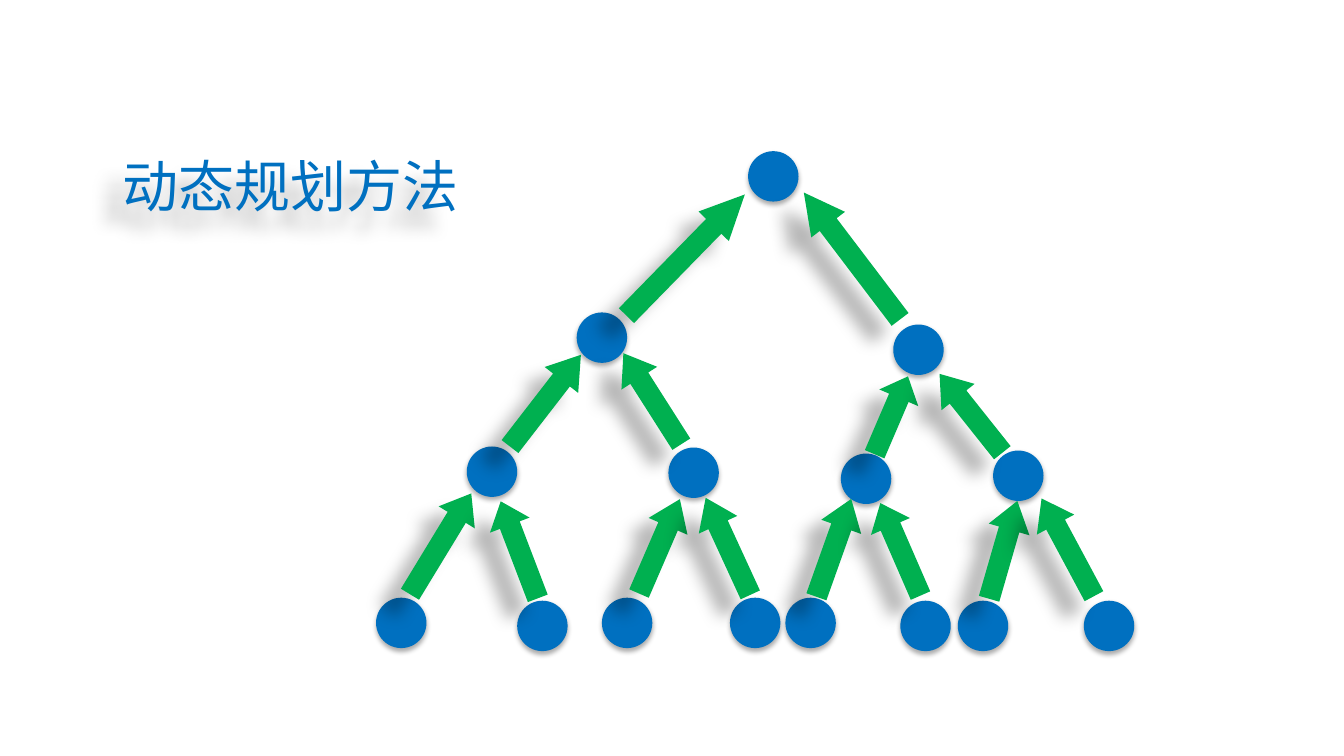
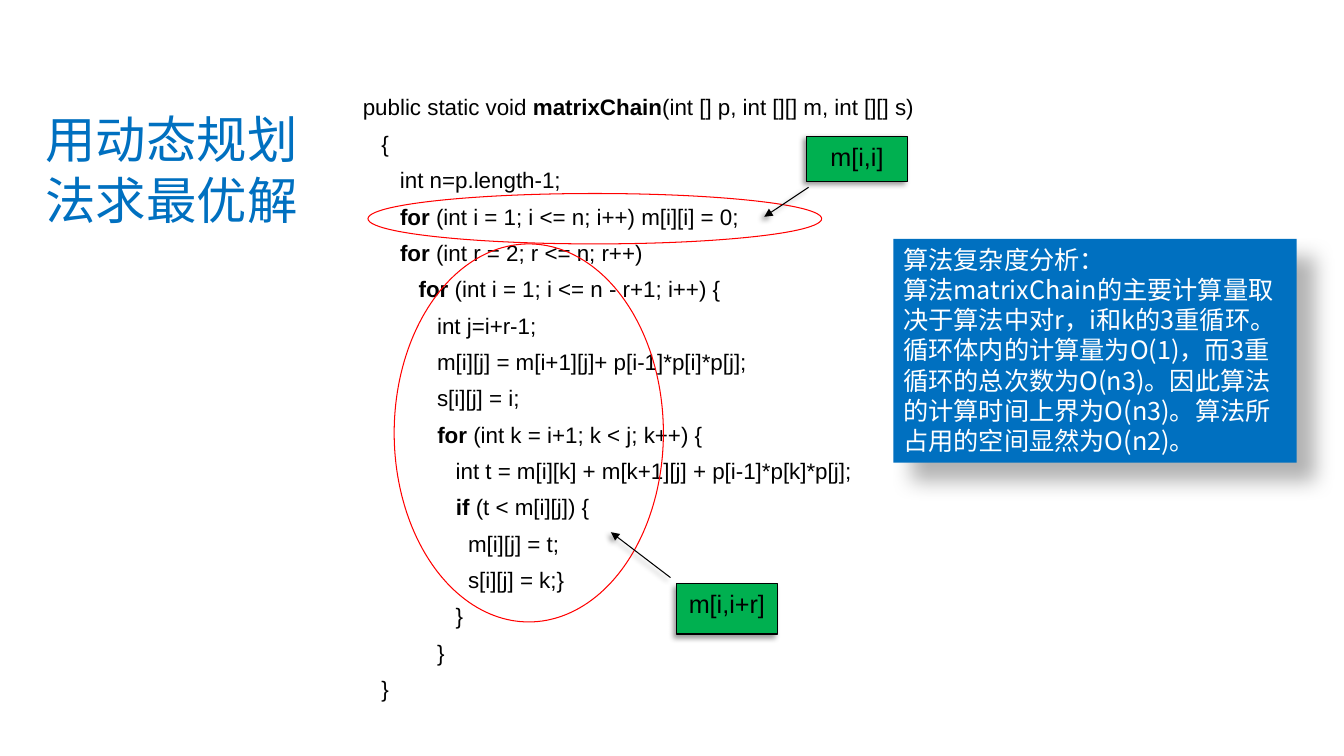
from pptx import Presentation
from pptx.dml.color import RGBColor
from pptx.enum.shapes import MSO_SHAPE
from pptx.enum.text import MSO_ANCHOR, MSO_AUTO_SIZE, PP_ALIGN
from pptx.oxml.ns import qn
from pptx.util import Inches, Pt
from lxml.etree import SubElement

BLUE = RGBColor(0x00, 0x70, 0xC0)
GREEN = RGBColor(0x00, 0xB0, 0x50)
RED = RGBColor(0xFF, 0x00, 0x00)
BLACK = RGBColor(0x00, 0x00, 0x00)
WHITE = RGBColor(0xFF, 0xFF, 0xFF)
CHINESE_FONT = "Noto Sans CJK SC"
CODE_FONT = "Arial"

# Shadows: opacity in percent, blur and distance in points, direction in degrees
NODE_SHADOW = (32, 3.5, 2.2, 90)
ARROW_SHADOW = (28, 11.8, 19.7, 141)
PANEL_SHADOW = (30, 15, 18, 45)
CALLOUT_SHADOW = (40, 4, 3, 135)


def style_shape(shape, fill=None, line=None, shadow=None):
    """Apply fill, outline and shadow; None means the shape has none."""
    if fill is None:
        shape.fill.background()
    else:
        shape.fill.solid()
        shape.fill.fore_color.rgb = fill
    if line is None:
        shape.line.fill.background()
    else:
        shape.line.color.rgb = line
        shape.line.width = Pt(0.75)
    shape.shadow.inherit = False
    if shadow:
        opacity, blur, distance, direction = shadow
        effects = shape._element.spPr.find(qn("a:effectLst"))
        outer = SubElement(effects, qn("a:outerShdw"), blurRad=str(Pt(blur)), dist=str(Pt(distance)),
                           dir=str(direction * 60000), algn="ctr", rotWithShape="0")
        color = SubElement(outer, qn("a:srgbClr"), val="000000")
        SubElement(color, qn("a:alpha"), val=str(opacity * 1000))


def set_chinese_text(text_frame, text, size, color, alignment):
    text_frame.text = text
    text_frame.word_wrap = True
    text_frame.auto_size = MSO_AUTO_SIZE.NONE
    for paragraph in text_frame.paragraphs:
        paragraph.alignment = alignment
        paragraph.line_spacing = Pt(size * 1.2)
        for run in paragraph.runs:
            run.font.size = Pt(size)
            run.font.color.rgb = color
            run.font.name = CHINESE_FONT
            SubElement(run.font._element, qn("a:ea"), typeface=CHINESE_FONT)


presentation = Presentation()
presentation.slide_width = Inches(13.33)
presentation.slide_height = Inches(7.5)

# Titles: text, box, size, alignment
titles = [
    ("动态规划方法", (0.76, 1.45, 4.25, 0.77), 40, PP_ALIGN.CENTER),
    ("用动态规划法求最优解", (0.35, 1.05, 3.15, 1.25), 36, PP_ALIGN.LEFT),
]
for text, box, size, alignment in titles:
    slide = presentation.slides.add_slide(presentation.slide_layouts[5])
    title = slide.shapes.title
    title.left, title.top, title.width, title.height = map(Inches, box)
    title.text_frame.vertical_anchor = MSO_ANCHOR.MIDDLE
    set_chinese_text(title.text_frame, text, size, BLUE, alignment)
tree_slide, code_slide = presentation.slides
style_shape(tree_slide.shapes.title, shadow=ARROW_SHADOW)

# Tree nodes, level by level: left, top
NODE_SIZE = 0.5
nodes = [
    (7.42, 1.5),
    (5.72, 3.1), (8.86, 3.22),
    (4.63, 4.43), (6.63, 4.44), (8.34, 4.5), (9.85, 4.47),
    (3.73, 5.93), (5.13, 5.96), (5.97, 5.93), (7.24, 5.93),
    (7.79, 5.93), (8.93, 5.96), (9.5, 5.96), (10.75, 5.96),
]
for left, top in nodes:
    node = tree_slide.shapes.add_shape(
        MSO_SHAPE.OVAL, Inches(left), Inches(top), Inches(NODE_SIZE), Inches(NODE_SIZE))
    style_shape(node, fill=BLUE, shadow=NODE_SHADOW)

# Arrows from child to parent: left, top, length, rotation, head length by width
ARROW_WIDTH = 0.42
arrows = [
    (6.59, 1.69, 1.68, 224.3, 1.05), (8.24, 1.75, 1.58, 142.8, 0.95),
    (5.2, 3.4, 1.15, 217.7, 0.75), (6.26, 3.42, 1.07, 147.5, 0.7),
    (8.63, 3.7, 0.84, 203.2, 0.55), (9.42, 3.6, 1, 141.5, 0.7),
    (4.16, 4.81, 1.17, 211.3, 0.66), (4.94, 4.94, 1.03, 159.1, 0.6),
    (6.33, 4.91, 1.02, 203.4, 0.7), (7.01, 4.89, 1.06, 155.3, 0.7),
    (8.06, 4.92, 1.03, 199.6, 0.7), (8.72, 4.95, 1, 156.5, 0.6),
    (9.74, 4.95, 1.01, 196.1, 0.7), (10.38, 4.88, 1.1, 151.8, 0.7),
]
for left, top, length, rotation, head in arrows:
    arrow = tree_slide.shapes.add_shape(
        MSO_SHAPE.DOWN_ARROW, Inches(left), Inches(top), Inches(ARROW_WIDTH), Inches(length))
    arrow.rotation = rotation
    arrow.adjustments[1] = head
    style_shape(arrow, fill=GREEN, shadow=ARROW_SHADOW)

# Code listing: text before, bold word, text after
code_lines = [
    ("public static void ", "matrixChain", "(int [] p, int [][] m, int [][] s)"),
    ("   {", "", ""),
    ("      int n=p.length-1;", "", ""),
    ("      ", "for", " (int i = 1; i <= n; i++) m[i][i] = 0;"),
    ("      ", "for", " (int r = 2; r <= n; r++)"),
    ("         ", "for", " (int i = 1; i <= n - r+1; i++) {"),
    ("            int j=i+r-1;", "", ""),
    ("            m[i][j] = m[i+1][j]+ p[i-1]*p[i]*p[j];", "", ""),
    ("            s[i][j] = i;", "", ""),
    ("            ", "for", " (int k = i+1; k < j; k++) {"),
    ("               int t = m[i][k] + m[k+1][j] + p[i-1]*p[k]*p[j];", "", ""),
    ("               ", "if", " (t < m[i][j]) {"),
    ("                 m[i][j] = t;", "", ""),
    ("                 s[i][j] = k;}", "", ""),
    ("               }", "", ""),
    ("            }", "", ""),
    ("   }", "", ""),
]
listing = code_slide.shapes.add_textbox(Inches(3.5), Inches(0.91), Inches(9.21), Inches(6.37))
listing.text_frame.word_wrap = True
for index, parts in enumerate(code_lines):
    if index == 0:
        paragraph = listing.text_frame.paragraphs[0]
    else:
        paragraph = listing.text_frame.add_paragraph()
        paragraph.space_before = Pt(8.7)
    paragraph.line_spacing = 0.9
    for part, bold in zip(parts, (False, True, False)):
        if part:
            run = paragraph.add_run()
            run.text = part
            run.font.name = CODE_FONT
            run.font.size = Pt(16)
            run.font.bold = bold
            run.font.color.rgb = BLACK

analysis = code_slide.shapes.add_shape(
    MSO_SHAPE.RECTANGLE, Inches(8.86), Inches(2.37), Inches(4), Inches(2.22))
style_shape(analysis, fill=BLUE, shadow=PANEL_SHADOW)
analysis.text_frame.vertical_anchor = MSO_ANCHOR.TOP
set_chinese_text(
    analysis.text_frame,
    "算法复杂度分析：\n"
    "算法matrixChain的主要计算量取决于算法中对r，i和k的3重循环。"
    "循环体内的计算量为O(1)，而3重循环的总次数为O(n3)。"
    "因此算法的计算时间上界为O(n3)。算法所占用的空间显然为O(n2)。",
    18, WHITE, PP_ALIGN.LEFT)

for box in [(3.65, 1.92, 4.5, 0.5), (3.91, 2.42, 2.67, 3.75)]:
    ring = code_slide.shapes.add_shape(MSO_SHAPE.OVAL, *map(Inches, box))
    style_shape(ring, line=RED)

# Callouts: text, box, pointer start and end as (y, x) shares of the box
callouts = [
    ("m[i,i+r]", (6.71, 5.79, 1, 0.5), (-0.12, -0.06, -1.02, -0.65)),
    ("m[i,i]", (8, 1.35, 1, 0.45), (1.13, 0.02, 1.78, -0.42)),
]
for text, box, pointer in callouts:
    callout = code_slide.shapes.add_shape(MSO_SHAPE.LINE_CALLOUT_1, *map(Inches, box))
    for index, share in enumerate(pointer):
        callout.adjustments[index] = share
    style_shape(callout, fill=GREEN, line=BLACK, shadow=CALLOUT_SHADOW)
    SubElement(callout._element.spPr.find(qn("a:ln")), qn("a:tailEnd"), type="triangle")
    callout.text_frame.text = text
    callout.text_frame.vertical_anchor = MSO_ANCHOR.TOP
    paragraph = callout.text_frame.paragraphs[0]
    paragraph.alignment = PP_ALIGN.CENTER
    font = paragraph.runs[0].font
    font.name = CODE_FONT
    font.size = Pt(18)
    font.color.rgb = BLACK

presentation.save("out.pptx")
